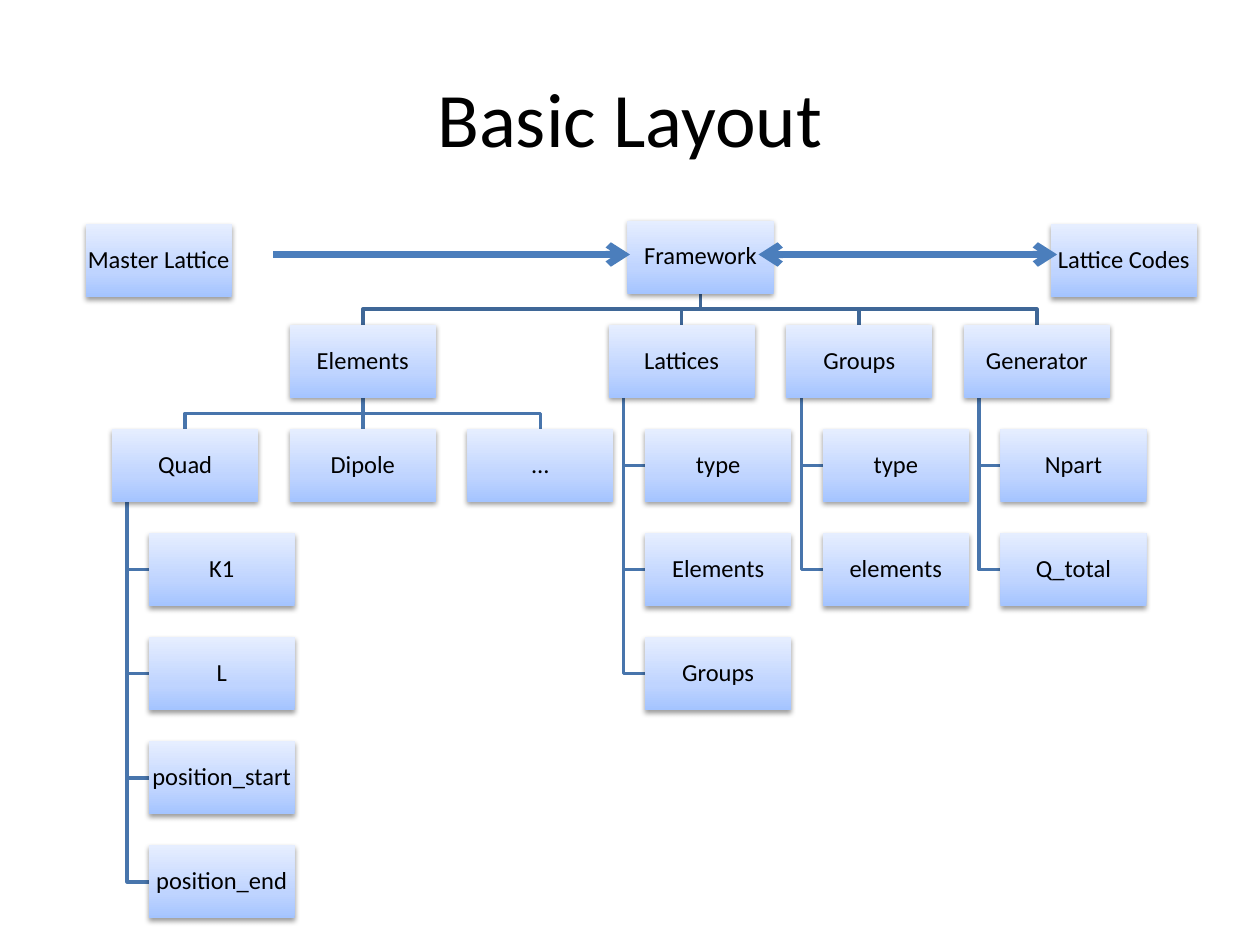
import pptx
import pptx.dml.color
import pptx.enum.shapes
import pptx.enum.text
import pptx.oxml
import pptx.oxml.ns
import pptx.util
from lxml import etree

Inches = pptx.util.Inches
Pt = pptx.util.Pt
CENTER = pptx.enum.text.PP_ALIGN.CENTER
MIDDLE = pptx.enum.text.MSO_ANCHOR.MIDDLE
STRAIGHT = pptx.enum.shapes.MSO_CONNECTOR.STRAIGHT
RECT = pptx.enum.shapes.MSO_SHAPE.RECTANGLE

TITLE = "Basic Layout"
ROOT = ("Framework", 4.98)
# Each branch: name, left edge, children side by side, children hanging below
BRANCHES = [
    ("Elements", 2.3, [("Quad", 0.89), ("Dipole", 2.3), ("…", 3.71)], []),
    ("Lattices", 4.83, [], ["type", "Elements", "Groups"]),
    ("Groups", 6.24, [], ["type", "elements"]),
    ("Generator", 7.65, [], ["Npart", "Q_total"]),
]
QUAD_FIELDS = ["K1", "L", "position_start", "position_end"]
SIDE_BOXES = [("Master Lattice", 0.68), ("Lattice Codes", 8.34)]
ARROWS = [(2.17, 5, ["tailEnd"]), (6.02, 8.39, ["headEnd", "tailEnd"])]

THEME = {
    "font": "Calibri", "text": "000000", "title_size": 44, "box_size": 14,
    "gradient": [(0, "A4C4FF"), (35, "BFD4FF"), (100, "E6EEFF")],
    "top_line": "3F6797", "line": "4875AC", "line_width": 2,
    "arrow": "4B7EBC", "arrow_width": 4,
}

BOX_W, BOX_H = 1.16, 0.58
TOP, ROW_PITCH = 1.75, (6.71 - 1.75) / 6
SIDE_TOP, ARROW_Y = 1.78, 2.02
SPINE, HANG = 0.12, 0.29
INSET = 0.01

prs = pptx.Presentation()
prs.slide_width, prs.slide_height = Inches(10), Inches(7.5)
slide = prs.slides.add_slide(prs.slide_layouts[6])
shapes = slide.shapes


def rgb(value):
    """Return a colour from its hex value."""
    return pptx.dml.color.RGBColor.from_string(value)


def row_top(row):
    """Return the top edge of a tree row."""
    return TOP + row * ROW_PITCH


def write(sp, text, size, inset, spacing):
    """Put one centred line of text into a shape."""
    tf = sp.text_frame
    settings = {"word_wrap": True, "vertical_anchor": MIDDLE}
    settings.update({f"margin_{side}": Inches(inset)
                     for side in ("left", "right", "top", "bottom")})
    for name, value in settings.items():
        setattr(tf, name, value)
    p = tf.paragraphs[0]
    p.alignment, p.line_spacing = CENTER, spacing
    r = p.add_run()
    r.text = text
    for name, value in {"name": THEME["font"], "size": Pt(size)}.items():
        setattr(r.font, name, value)
    r.font.color.rgb = rgb(THEME["text"])


def add_box(text, left, top):
    """Draw a shaded box with its label."""
    sp = shapes.add_shape(RECT, Inches(left), Inches(top),
                          Inches(BOX_W), Inches(BOX_H))
    sp.line.fill.background()
    sp.shadow.inherit = False
    ns = pptx.oxml.ns.nsdecls("a")
    stops = "".join(f'<a:gs pos="{pos * 1000}"><a:srgbClr val="{color}"/></a:gs>'
                    for pos, color in THEME["gradient"])
    props = sp.element.spPr
    props.find(pptx.oxml.ns.qn("a:prstGeom")).addnext(pptx.oxml.parse_xml(
        f'<a:gradFill {ns} rotWithShape="1"><a:gsLst>{stops}</a:gsLst>'
        '<a:lin ang="16200000" scaled="0"/></a:gradFill>'))
    props.find(pptx.oxml.ns.qn("a:effectLst")).append(pptx.oxml.parse_xml(
        f'<a:outerShdw {ns} blurRad="{Pt(3.1)}" dist="{Pt(1.6)}" dir="5400000" '
        'rotWithShape="0"><a:srgbClr val="000000"><a:alpha val="38000"/>'
        '</a:srgbClr></a:outerShdw>'))
    write(sp, text, THEME["box_size"], INSET, 0.9)


def add_line(start, end, color, width):
    """Draw a straight line without shadow."""
    line = shapes.add_connector(STRAIGHT, *map(Inches, start + end))
    line.line.color.rgb, line.line.width = rgb(color), Pt(width)
    etree.SubElement(line.element.spPr, pptx.oxml.ns.qn("a:effectLst"))
    return line


def add_path(points, color):
    """Draw an open, unfilled elbow line."""
    points = [(Inches(x), Inches(y)) for x, y in points]
    builder = shapes.build_freeform(*points[0])
    builder.add_line_segments(points[1:], close=False)
    sp = builder.convert_to_shape()
    sp.fill.background()
    sp.shadow.inherit = False
    sp.line.color.rgb, sp.line.width = rgb(color), Pt(THEME["line_width"])


def link_across(parent_left, child_left, row, color):
    """Join a box in a row to a child in the next row."""
    x1, x2 = parent_left + BOX_W / 2, child_left + BOX_W / 2
    y1, y2 = row_top(row) + BOX_H, row_top(row + 1)
    if x1 == x2:
        add_line((x1, y1), (x2, y2), color, THEME["line_width"])
    else:
        middle = (y1 + y2) / 2
        add_path([(x1, y1), (x1, middle), (x2, middle), (x2, y2)], color)


def hang(names, parent_left, row):
    """Link children below a box and return their box positions."""
    spine, left = parent_left + SPINE, parent_left + HANG
    boxes = []
    for child_row, name in enumerate(names, row + 1):
        top = row_top(child_row)
        y = top + BOX_H / 2
        add_path([(spine, row_top(row) + BOX_H), (spine, y), (left, y)],
                 THEME["line"])
        boxes.append((name, left, top))
    return boxes


title = shapes.add_textbox(Inches(0.5), Inches(0.3), Inches(9), Inches(1.25))
write(title, TITLE, THEME["title_size"], 0.1, 1.0)

boxes = [(name, left, SIDE_TOP) for name, left in SIDE_BOXES]
boxes.append((*ROOT, row_top(0)))
for name, left, across, below in BRANCHES:
    link_across(ROOT[1], left, 0, THEME["top_line"])
    boxes.append((name, left, row_top(1)))
    for child, child_left in across:
        link_across(left, child_left, 1, THEME["line"])
        boxes.append((child, child_left, row_top(2)))
    boxes += hang(below, left, 1)
quad_left = BRANCHES[0][2][0][1]
boxes += hang(QUAD_FIELDS, quad_left, 2)

for box in boxes:
    add_box(*box)

for x1, x2, ends in ARROWS:
    arrow = add_line((x1, ARROW_Y), (x2, ARROW_Y),
                     THEME["arrow"], THEME["arrow_width"])
    ln = arrow.line._get_or_add_ln()
    for end in ends:
        etree.SubElement(ln, pptx.oxml.ns.qn(f"a:{end}"), type="arrow")

prs.save("out.pptx")
